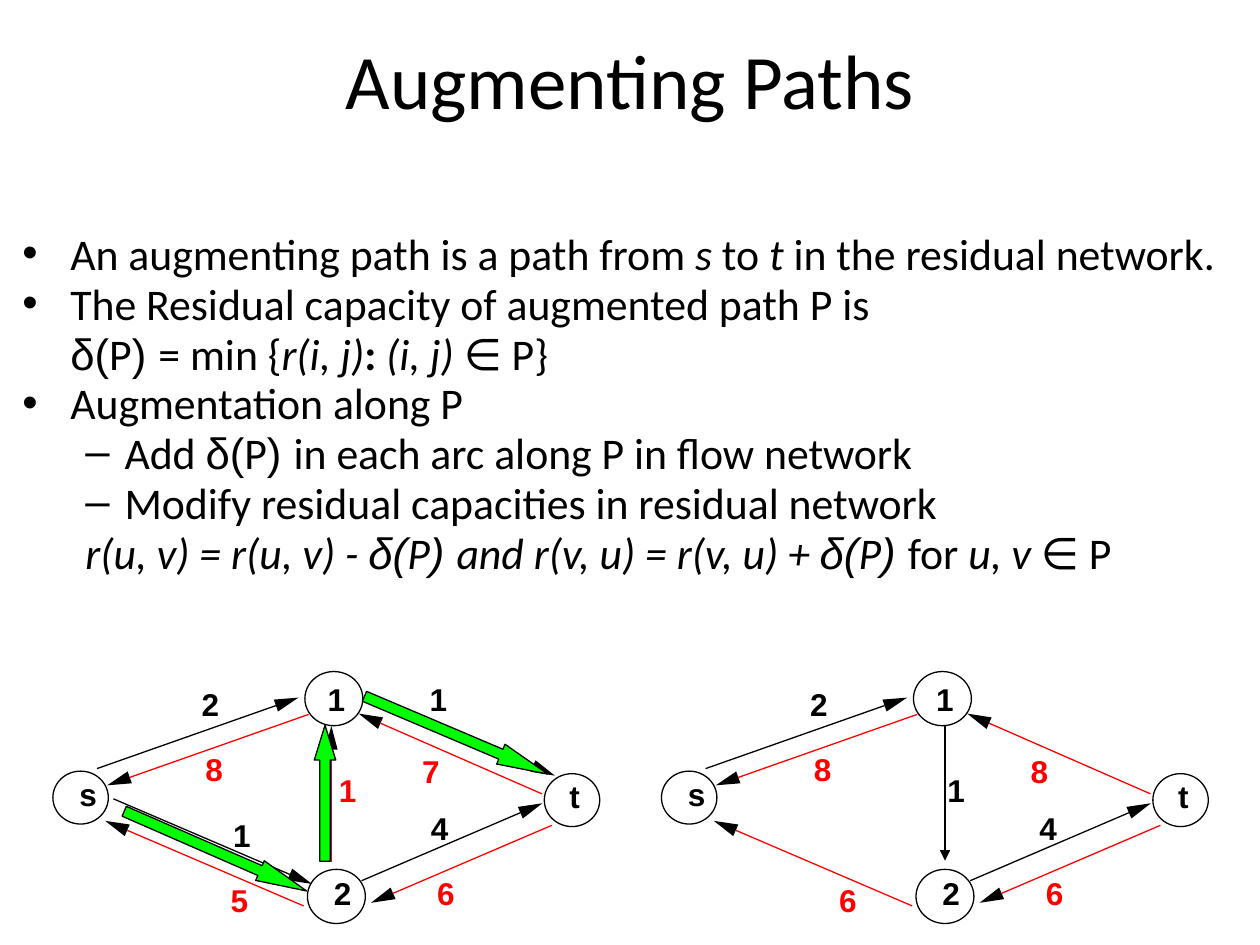
from math import hypot

from lxml import etree
from pptx import Presentation
from pptx.dml.color import RGBColor
from pptx.enum.shapes import MSO_CONNECTOR, MSO_SHAPE
from pptx.enum.text import MSO_ANCHOR, MSO_AUTO_SIZE, PP_ALIGN
from pptx.oxml.ns import qn
from pptx.util import Pt

PX = 9144  # EMU per px, 100 px to the inch
STRAIGHT = MSO_CONNECTOR.STRAIGHT
ELLIPSE, BLOCK_ARROW = MSO_SHAPE.OVAL, MSO_SHAPE.RIGHT_ARROW
CENTER, MIDDLE = PP_ALIGN.CENTER, MSO_ANCHOR.MIDDLE
GROW = MSO_AUTO_SIZE.SHAPE_TO_FIT_TEXT
BLACK, WHITE, RED, GREEN = "000000", "FFFFFF", "FF0000", "00FF00"
HEAD_LENGTH, HEAD_HALF_WIDTH = 19, 5

# Body text: (left margin, first-line indent, bullet, [(text, style)])
# Styles: i = italic, b = bold, a = Arial
DELTA = [("δ(", "a"), ("P", ""), (") ", "a")]
DELTA_ITALIC = [(text, style + "i") for text, style in DELTA]
BODY = [
    (38, -38, "•", [("An augmenting path is a path from ", ""), ("s", "i"), (" to ", ""),
                    ("t ", "i"), ("in the residual network.", "")]),
    (38, -38, "•", [("The Residual capacity of augmented path P is", "")]),
    (38, 0, None, DELTA + [("= min {", ""), ("r(i, j)", "i"), (": ", "b"),
                           ("(i, j) ", "i"), ("∈ P}", "")]),
    (38, -38, "•", [("Augmentation along P", "")]),
    (81, -31, "–", [("Add ", "")] + DELTA + [("in each arc along P in flow network", "")]),
    (81, -31, "–", [("Modify residual capacities in residual network", "")]),
    (81, -31, None, [("r(u, v) = r(u, v) - ", "i")] + DELTA_ITALIC
     + [("and r(v, u) = r(v, u) + ", "i")] + DELTA_ITALIC
     + [("for ", ""), ("u, v ", "i"), ("∈ P", "")]),
]

# Node: ellipse box, label corner
NODES = {
    "s": ((0, 79, 44, 42), (21, 82)),
    "1": ((200, 0, 46, 43), (218, 7)),
    "2": ((202, 157, 46, 43), (223, 161)),
    "t": ((390, 81, 44, 42), (410, 84)),
}
# Arc: start, base of the arrowhead, capacity corner, colour
ARCS = {
    "s1": ((35, 77), (177, 27), (118, 11), BLACK),
    "s2": ((48, 101), (188, 161), (143, 115), BLACK),
    "1t": ((253, 19), (381, 75), (299, 7), BLACK),
    "2t": ((245, 166), (371, 112), (300, 109), BLACK),
    "21": ((221, 151), (221, 62), (227, 79), RED),
    "1s": ((203, 34), (61, 84), (121, 62), RED),
    "t1": ((388, 97), (260, 41), (293, 64), RED),
    "t2": ((396, 122), (270, 176), (305, 161), RED),
    "2s": ((199, 186), (59, 126), (141, 166), RED),
}
BEFORE = {"s1": 2, "s2": 1, "1t": 1, "2t": 4, "21": 1, "1s": 8, "t1": 7, "t2": 6, "2s": 5}
AFTER = {"s1": 2, "2t": 4, "1s": 8, "t1": 8, "t2": 6, "2s": 6}
# Steps of the augmenting path: box, rotation, head length to thickness
PATH_STEPS = [
    ((50, 134, 158, 17), 23.6, 2.375),
    ((162, 88, 108, 17), 270, 1.625),
    ((241, 42, 158, 17), 23, 2.375),
]


def emu(*lengths):
    return [round(length * PX) for length in lengths]


def rgb(color):
    return RGBColor.from_string(color)


def style_font(font, name, size, color=BLACK):
    font.name, font.size = name, Pt(size)
    font.color.rgb = rgb(color)


def add_outlined(shapes, kind, left, top, width, height, fill):
    shape = shapes.add_shape(kind, *emu(left, top, width, height))
    shape.shadow.inherit = False
    shape.fill.solid()
    shape.fill.fore_color.rgb = rgb(fill)
    shape.line.color.rgb = rgb(BLACK)
    shape.line.width = Pt(0.75)
    return shape


def add_label(shapes, left, top, text, color):
    label = shapes.add_textbox(*emu(left, top, 14, 30))
    frame = label.text_frame
    frame.margin_left = frame.margin_right = frame.margin_top = frame.margin_bottom = 0
    frame.word_wrap = False
    frame.auto_size = GROW
    frame.text = text
    font = frame.paragraphs[0].runs[0].font
    style_font(font, "Arial", 18, color)
    font.bold = True


def add_line(shapes, start, end, color, triangle=False):
    line = shapes.add_connector(STRAIGHT, *emu(*start, *end))
    line.line.color.rgb = rgb(color)
    line.line.width = Pt(0.75)
    properties = line.element.spPr
    if triangle:
        etree.SubElement(properties.find(qn("a:ln")), qn("a:tailEnd"), type="triangle")
    etree.SubElement(properties, qn("a:effectLst"))


def add_arrowhead(shapes, start, base):
    """A slim black head that continues the line beyond its base."""
    dx, dy = base[0] - start[0], base[1] - start[1]
    length = hypot(dx, dy)
    ux, uy = dx / length, dy / length
    tip = emu(base[0] + HEAD_LENGTH * ux, base[1] + HEAD_LENGTH * uy)
    corners = [emu(base[0] - side * uy, base[1] + side * ux)
               for side in (HEAD_HALF_WIDTH, -HEAD_HALF_WIDTH)]
    builder = shapes.build_freeform(*tip, scale=1.0)
    builder.add_line_segments(corners, close=True)
    head = builder.convert_to_shape()
    head.shadow.inherit = False
    head.fill.solid()
    head.fill.fore_color.rgb = rgb(BLACK)
    head.line.fill.background()


def place_title(slide, left, top, width, height):
    title = slide.shapes.title
    title.left, title.top, title.width, title.height = emu(left, top, width, height)
    frame = title.text_frame
    frame.text = "Augmenting Paths"
    frame.vertical_anchor = MIDDLE
    paragraph = frame.paragraphs[0]
    paragraph.alignment = CENTER
    style_font(paragraph.runs[0].font, "Calibri", 44)


def add_body(slide, left, top, width, height):
    frame = slide.shapes.add_textbox(*emu(left, top, width, height)).text_frame
    frame.word_wrap = True
    for index, (margin, indent, bullet, pieces) in enumerate(BODY):
        paragraph = frame.add_paragraph() if index else frame.paragraphs[0]
        paragraph.line_spacing = 0.8
        paragraph.space_before = Pt(4.5 if index else 0)
        properties = paragraph._p.get_or_add_pPr()
        properties.set("marL", str(margin * PX))
        properties.set("indent", str(indent * PX))
        if bullet:
            etree.SubElement(properties, qn("a:buFont"), typeface="Arial")
            etree.SubElement(properties, qn("a:buChar"), char=bullet)
        for text, style in pieces:
            run = paragraph.add_run()
            run.text = text
            style_font(run.font, "Arial" if "a" in style else "Calibri", 25)
            run.font.italic = "i" in style
            run.font.bold = "b" in style


def add_network(slide, left, top, capacities):
    """Residual network with its nodes, arcs and capacities."""
    shapes = slide.shapes.add_group_shape().shapes

    def at(point):
        return left + point[0], top + point[1]

    for name, (box, corner) in NODES.items():
        add_outlined(shapes, ELLIPSE, *at(box), *box[2:], WHITE)
        add_label(shapes, *at(corner), name, BLACK)
    for arc, capacity in capacities.items():
        start, base, corner, color = ARCS[arc]
        add_arrowhead(shapes, at(start), at(base))
        add_line(shapes, at(start), at(base), color)
        add_label(shapes, *at(corner), str(capacity), color)
    return shapes, at


def add_network_before(slide, left, top):
    shapes, at = add_network(slide, left, top, BEFORE)
    # Augmenting path s - 2 - 1 - t
    for box, rotation, head in PATH_STEPS:
        step = add_outlined(shapes, BLOCK_ARROW, *at(box), *box[2:], GREEN)
        step.rotation = rotation
        step.adjustments[0], step.adjustments[1] = 0.5, head


def add_network_after(slide, left, top):
    shapes, at = add_network(slide, left, top, AFTER)
    # Reversed arc from 1 to 2
    add_label(shapes, *at((227, 79)), "1", BLACK)
    add_line(shapes, at((225, 42)), at((225, 150)), BLACK, triangle=True)


def main():
    deck = Presentation()
    deck.slide_width, deck.slide_height = emu(1000, 750)
    slide = deck.slides.add_slide(deck.slide_layouts[5])
    place_title(slide, 50, 0, 900, 125)
    add_body(slide, 8, 183, 992, 367)
    add_network_before(slide, 42, 533)
    add_network_after(slide, 525, 533)
    deck.save("out.pptx")


if __name__ == "__main__":
    main()
